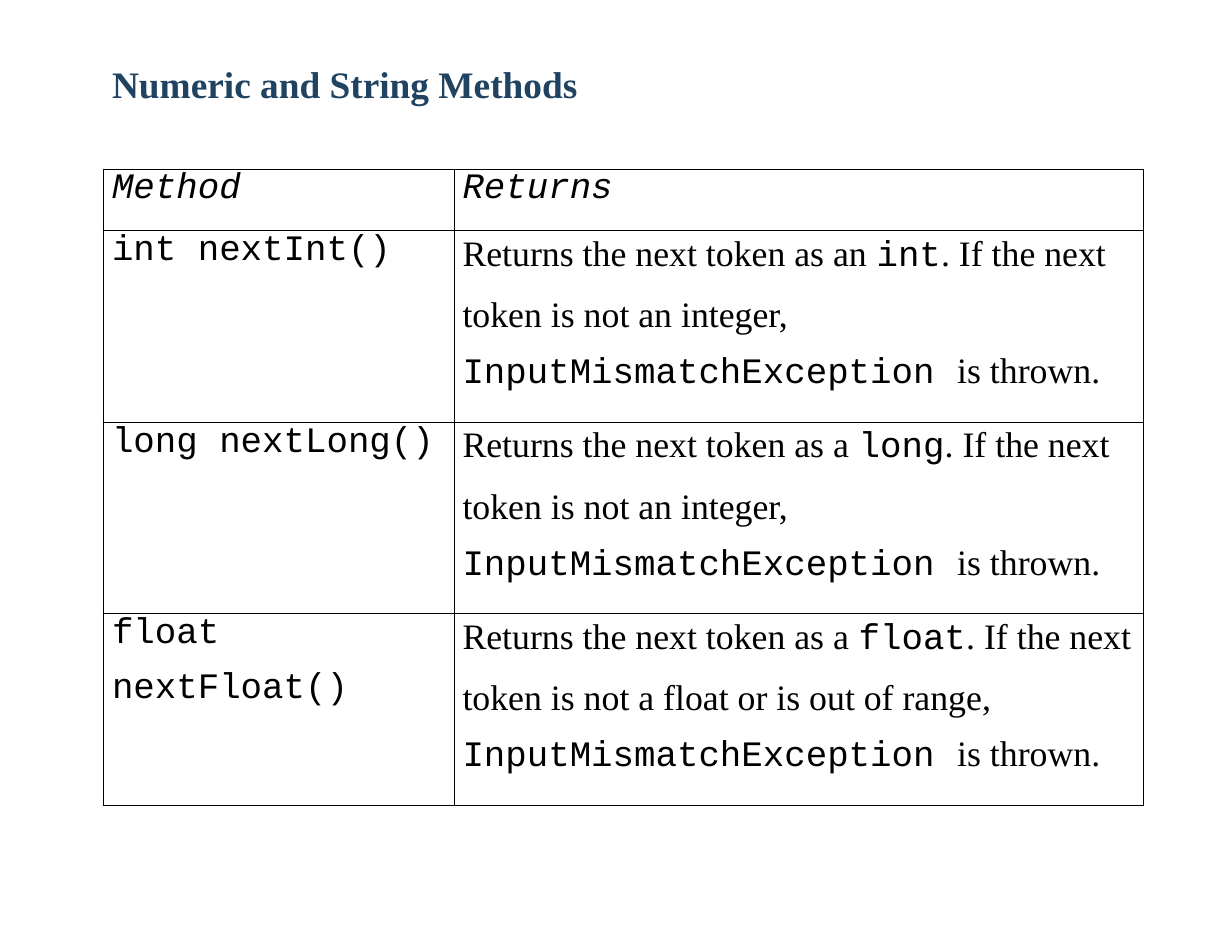
from dataclasses import dataclass

from lxml.etree import SubElement
from pptx import Presentation
from pptx.dml.color import RGBColor
from pptx.enum.text import MSO_AUTO_SIZE
from pptx.oxml.ns import qn
from pptx.util import Inches, Pt


@dataclass(frozen=True)
class Theme:
    title_color: str = "1F4361"
    ink: str = "000000"
    serif: str = "Times New Roman"
    mono: str = "Courier New"
    title_size: float = 24
    body_size: float = 23
    border: float = 0.75


THEME = Theme()
COL_WIDTHS = (3.14, 6.15)
ROW_HEIGHTS = (0.55, 1.71, 1.71, 1.71)
INDENTS = (0.08, 0.07)

# Signature lines, article, type, condition
METHODS = [
    (["int nextInt()"], "an", "int", "an integer,"),
    (["long nextLong()"], "a", "long", "an integer,"),
    (["float", "nextFloat()"], "a", "float", "a float or is out of range,"),
]


def set_font(font, name, size, color, bold=False, italic=False):
    font.name = name
    font.size = Pt(size)
    font.color.rgb = RGBColor.from_string(color)
    font.bold = bold
    font.italic = italic


def add_title(slide, text):
    sp = slide.shapes.add_textbox(Inches(0.99), Inches(0.54), Inches(4.18), Inches(0.43))
    tf = sp.text_frame
    tf.word_wrap = True
    tf.auto_size = MSO_AUTO_SIZE.SHAPE_TO_FIT_TEXT
    tf.margin_left = tf.margin_top = Inches(0.01)
    tf.margin_right = tf.margin_bottom = 0
    p = tf.paragraphs[0]
    p.text = text
    set_font(p.font, THEME.serif, THEME.title_size, THEME.title_color, bold=True)


def style_cell(cell, indent):
    cell.margin_left = Inches(indent)
    cell.margin_right = cell.margin_top = cell.margin_bottom = 0
    tc_pr = cell._tc.get_or_add_tcPr()
    for side in ("lnL", "lnR", "lnT", "lnB"):
        ln = SubElement(tc_pr, qn(f"a:{side}"), w=str(Pt(THEME.border)))
        fill = SubElement(ln, qn("a:solidFill"))
        SubElement(fill, qn("a:srgbClr"), val=THEME.ink)
    cell.fill.background()


def add_line(tf, index, runs, before=0, spacing=None, italic=False):
    """Write one paragraph from (text, font name) pairs."""
    p = tf.add_paragraph() if index else tf.paragraphs[0]
    if before:
        p.space_before = Pt(before)
    if spacing:
        p.line_spacing = spacing
    set_font(p.font, runs[0][1], THEME.body_size, THEME.ink, italic=italic)
    for text, name in runs:
        r = p.add_run()
        r.text = text
        if name != runs[0][1]:
            r.font.name = name


def write_code(cell, lines, italic=False):
    for i, text in enumerate(lines):
        add_line(cell.text_frame, i, [(text, THEME.mono)], before=9.8 if i else 0,
                 spacing=None if i else 0.97, italic=italic)


def write_description(cell, article, kind, condition):
    serif, mono = THEME.serif, THEME.mono
    tf = cell.text_frame
    add_line(tf, 0, [(f"Returns the next token as {article} ", serif), (kind, mono),
                     (". If the next", serif)], spacing=1.08)
    add_line(tf, 1, [(f"token is not {condition}", serif)], before=12.3)
    add_line(tf, 2, [("InputMismatchException ", mono), ("is thrown.", serif)], before=10.3)


def add_methods_table(slide):
    table = slide.shapes.add_table(
        len(ROW_HEIGHTS), len(COL_WIDTHS), Inches(0.92), Inches(1.51),
        Inches(sum(COL_WIDTHS)), Inches(sum(ROW_HEIGHTS))).table
    table.first_row = table.horz_banding = False
    for column, width in zip(table.columns, COL_WIDTHS):
        column.width = Inches(width)
    for row, height in zip(table.rows, ROW_HEIGHTS):
        row.height = Inches(height)
        for cell, indent in zip(row.cells, INDENTS):
            style_cell(cell, indent)

    # Header row
    for col, heading in enumerate(("Method", "Returns")):
        write_code(table.cell(0, col), [heading], italic=True)

    # One row per method
    for row, (signature, *description) in enumerate(METHODS, start=1):
        write_code(table.cell(row, 0), signature)
        write_description(table.cell(row, 1), *description)


def main():
    prs = Presentation()
    prs.slide_width, prs.slide_height = Inches(11), Inches(8.5)
    slide = prs.slides.add_slide(prs.slide_layouts[6])
    add_title(slide, "Numeric and String Methods")
    add_methods_table(slide)
    prs.save("out.pptx")


main()
